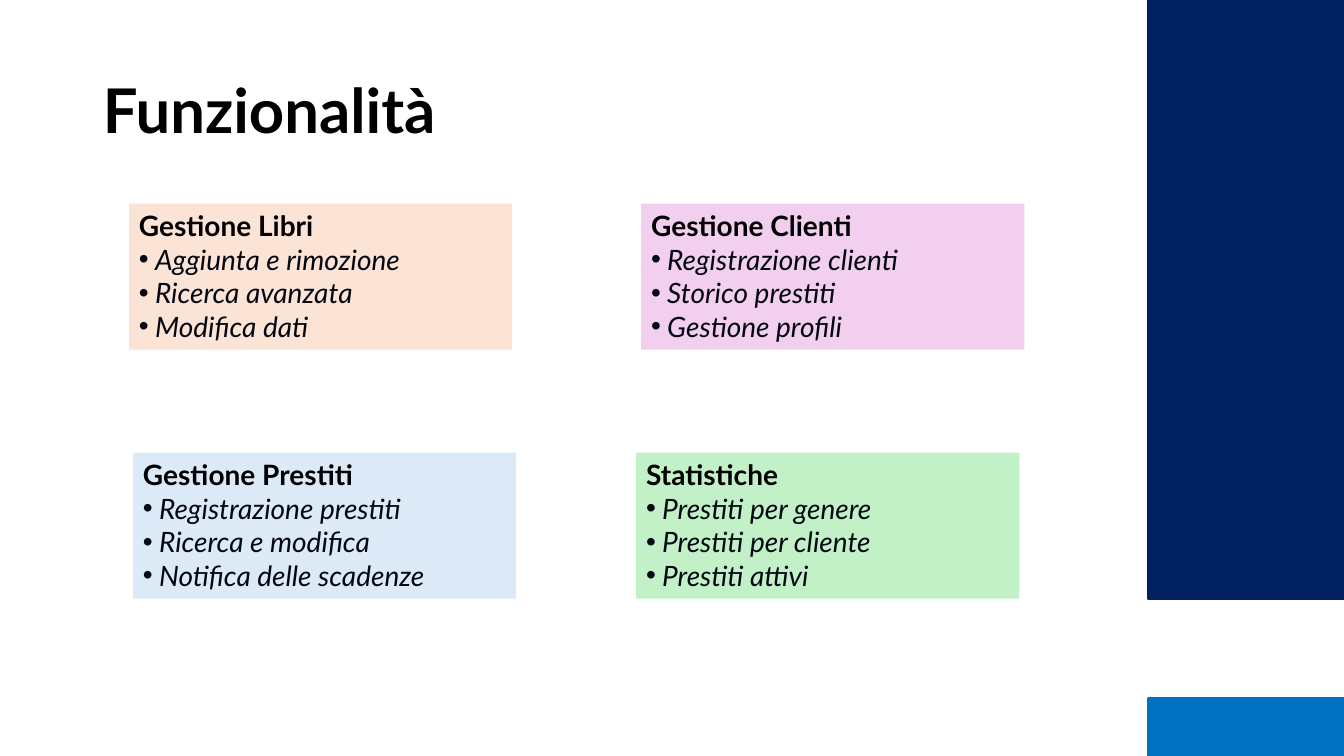
import pptx
import pptx.util
import pptx.dml.color
import pptx.enum.shapes
import pptx.enum.text
import pptx.oxml

WIDE, HIGH = 13.33, 7.5
FONT = "Lato"
BLACK, INK = "000000", "030712"
CARDS = [
    (1.28, 2.02, "FBE3D6", "Gestione Libri",
     ["Aggiunta e rimozione", "Ricerca avanzata", "Modifica dati"]),
    (6.36, 2.02, "F2CFEE", "Gestione Clienti",
     ["Registrazione clienti", "Storico prestiti", "Gestione profili"]),
    (1.32, 4.49, "DCEAF7", "Gestione Prestiti",
     ["Registrazione prestiti", "Ricerca e modifica", "Notifica delle scadenze"]),
    (6.31, 4.49, "C2F1C8", "Statistiche",
     ["Prestiti per genere", "Prestiti per cliente", "Prestiti attivi"]),
]
BANDS = [(0, 5.94, "002060"), (6.93, 0.57, "0070C0")]


def inch(size):
    return pptx.util.Inches(size)


def paint(target, tone):
    if hasattr(target, "solid"):
        target.solid()
        target = target.fore_color
    target.rgb = pptx.dml.color.RGBColor.from_string(tone)


def write(para, text, size, tone, bold=False, slant=False):
    para.alignment = pptx.enum.text.PP_ALIGN.LEFT
    run = para.add_run()
    run.text = text
    font = run.font
    font.name, font.size = FONT, pptx.util.Pt(size)
    font.bold, font.italic = bold, slant
    paint(font.color, tone)


def dot(para):
    props = para._p.get_or_add_pPr()
    props.set("marL", str(inch(0.16)))
    props.set("indent", str(-inch(0.16)))
    names = pptx.oxml.ns.nsdecls("a")
    props.append(pptx.oxml.parse_xml(f'<a:buFont {names} typeface="Arial"/>'))
    props.append(pptx.oxml.parse_xml(f'<a:buChar {names} char="•"/>'))


def block(slide, left, top, wide, high, tone):
    kind = pptx.enum.shapes.MSO_SHAPE.RECTANGLE
    shape = slide.shapes.add_shape(kind, inch(left), inch(top), inch(wide), inch(high))
    shape.shadow.inherit = False
    paint(shape.fill, tone)
    shape.line.fill.background()
    return shape


def band(slide, top, high, tone):
    shape = block(slide, 11.39, top, 1.94, high, tone)
    paint(shape.line.fill, tone)
    shape.line.width = pptx.util.Pt(1.5)


def card(slide, left, top, tone, head, items):
    frame = block(slide, left, top, 3.8, 1.45, tone).text_frame
    frame.word_wrap = True
    frame.auto_size = pptx.enum.text.MSO_AUTO_SIZE.SHAPE_TO_FIT_TEXT
    frame.vertical_anchor = pptx.enum.text.MSO_ANCHOR.TOP
    write(frame.paragraphs[0], head, 20, BLACK, bold=True)
    for item in items:
        para = frame.add_paragraph()
        dot(para)
        write(para, item, 20, INK, slant=True)


def title(slide, text):
    shape = slide.shapes.title
    shape.left, shape.top = inch(0.92), inch(0.4)
    shape.width, shape.height = inch(11.5), inch(1.45)
    frame = shape.text_frame
    frame.word_wrap = True
    frame.auto_size = pptx.enum.text.MSO_AUTO_SIZE.NONE
    frame.vertical_anchor = pptx.enum.text.MSO_ANCHOR.MIDDLE
    para = frame.paragraphs[0]
    para.line_spacing = 0.9
    write(para, text, 44, BLACK, bold=True)


def main():
    deck = pptx.Presentation()
    deck.slide_width, deck.slide_height = inch(WIDE), inch(HIGH)
    slide = deck.slides.add_slide(deck.slide_layouts[5])
    paint(slide.background.fill, "FFFFFF")
    title(slide, "Funzionalità")
    for part in BANDS:
        band(slide, *part)
    for part in CARDS:
        card(slide, *part)
    deck.save("out.pptx")


if __name__ == "__main__":
    main()
